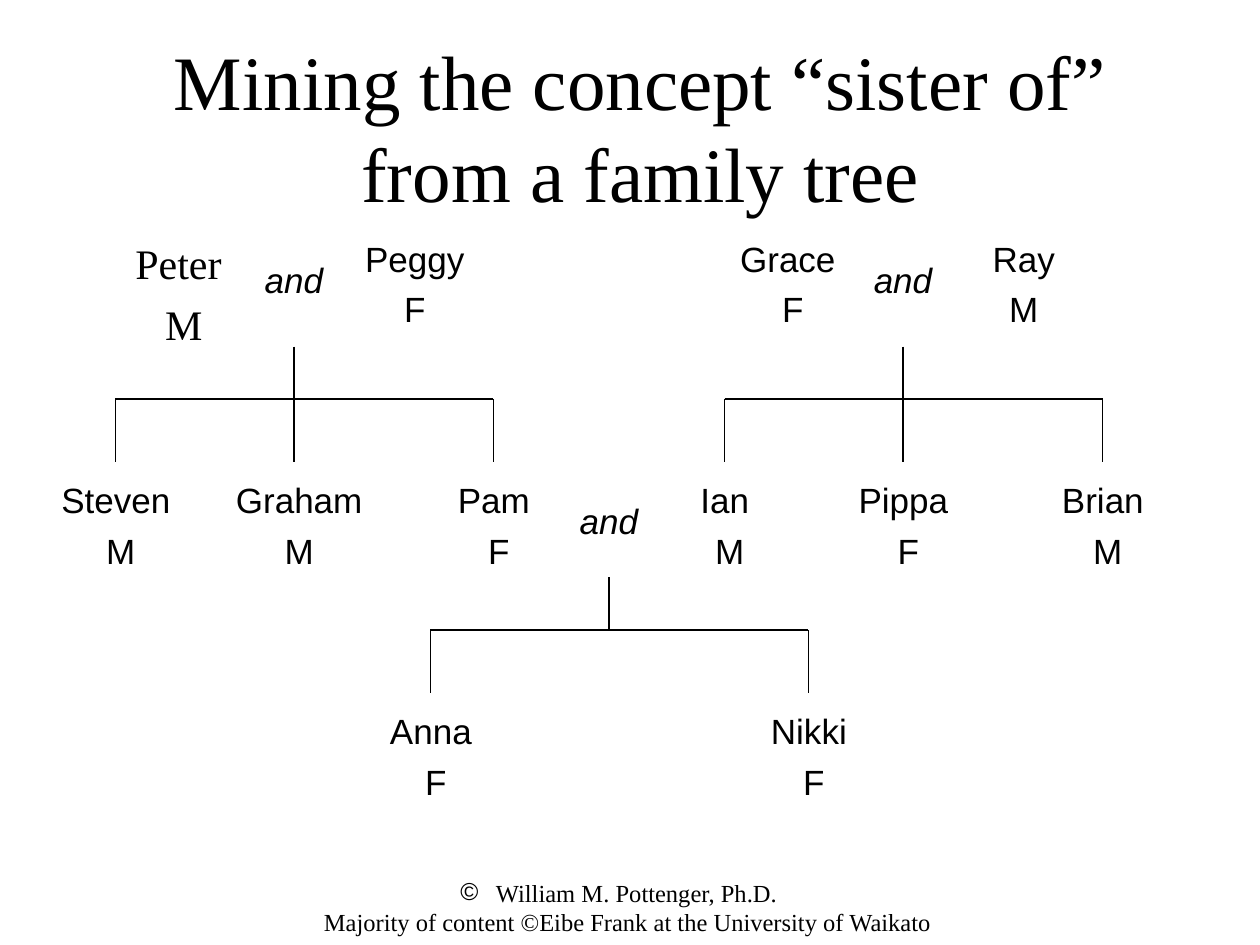
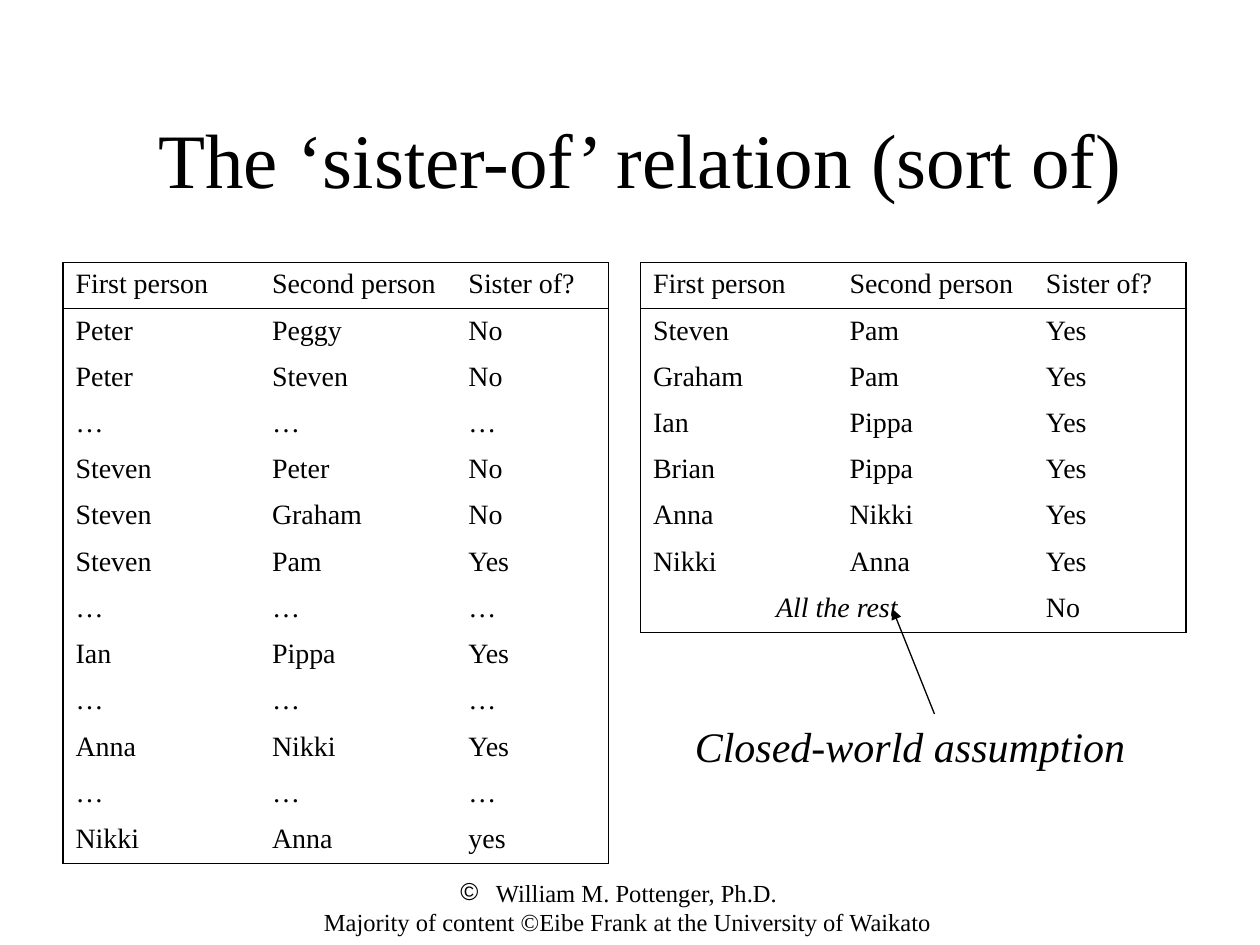
from lxml.etree import SubElement
from pptx import Presentation
from pptx.dml.color import RGBColor
from pptx.enum.shapes import MSO_CONNECTOR
from pptx.enum.text import MSO_ANCHOR, PP_ALIGN
from pptx.oxml.ns import qn
from pptx.util import Cm, Pt

BLACK = RGBColor(0x00, 0x00, 0x00)
WHITE = RGBColor(0xFF, 0xFF, 0xFF)
SERIF = "Times New Roman"
SANS = "Arial"
GRID = 2.54 / 12
COLUMNS = (3.96, 3.96, 3.08)
ROW = 0.93
HEADER = ("First person", "Second person", "Sister of?")
ETC = ("…", "…", "…")


def grid(n):
    return Cm(n * GRID)


class Deck:
    def __init__(self):
        self.prs = Presentation()
        self.prs.slide_width, self.prs.slide_height = grid(120), grid(90)
        self.s = None

    def slide(self, title, top):
        self.s = self.prs.slides.add_slide(self.prs.slide_layouts[6])
        self.s.background.fill.solid()
        self.s.background.fill.fore_color.rgb = WHITE
        self.footer()
        self.text(5, top, 112, 14, title, size=44, anchor=MSO_ANCHOR.MIDDLE)

    def run(self, p, text, size, font=SERIF, italic=False):
        r = p.add_run()
        r.text = text
        r.font.size = Pt(size)
        r.font.name = font
        r.font.italic = italic
        r.font.color.rgb = BLACK

    def text(self, x, y, w, h, lines, size, font=SERIF, italic=False,
             align=PP_ALIGN.CENTER, anchor=MSO_ANCHOR.TOP, before=0, wrap=True):
        tf = self.s.shapes.add_textbox(grid(x), grid(y), grid(w), grid(h)).text_frame
        tf.word_wrap = wrap
        tf.vertical_anchor = anchor
        for i, line in enumerate(lines):
            p = tf.add_paragraph() if i else tf.paragraphs[0]
            p.alignment = align
            p.space_before = Pt(before)
            self.run(p, line, size, font, italic)
        return tf

    def footer(self):
        tf = self.text(27, 83, 65, 4, (
            " William M. Pottenger, Ph.D.",
            " Majority of content ©Eibe Frank at the University of Waikato"), size=14)
        pPr = tf.paragraphs[0]._p.get_or_add_pPr()
        pPr.set("marL", str(Cm(0.34)))
        pPr.set("indent", str(-Cm(0.6)))
        SubElement(pPr, qn("a:buFont")).set("typeface", SANS)
        SubElement(pPr, qn("a:buChar")).set("char", "©")

    def line(self, x1, y1, x2, y2, arrow=False):
        c = self.s.shapes.add_connector(
            MSO_CONNECTOR.STRAIGHT, grid(x1), grid(y1), grid(x2), grid(y2))
        c.line.color.rgb = BLACK
        c.line.width = Pt(0.75)
        if arrow:
            SubElement(c.line._get_or_add_ln(), qn("a:tailEnd")).set("type", "triangle")
        SubElement(c._element.spPr, qn("a:effectLst"))

    def person(self, x, y, name, sex, size=20, font=SANS):
        self.text(x, y, 15, 10, (name, sex), size, font, before=size / 4)

    def conjunction(self, x, y):
        self.text(x - 4, y, 8, 5, ("and",), 20, SANS, italic=True, before=5, wrap=False)

    def branch(self, trunk, top, bar, children):
        drops = [x for x, _, _ in children]
        if trunk not in drops:
            self.line(trunk, top, trunk, bar)
        self.line(drops[0], bar, drops[-1], bar)
        for x, name, sex in children:
            self.line(x, top if x == trunk else bar, x, bar + 6)
            self.person(x - 7, bar + 7, name, sex)

    def borders(self, cell, edges):
        tcPr = cell._tc.get_or_add_tcPr()
        for side in "LRTB":
            ln = SubElement(tcPr, qn(f"a:ln{side}"))
            if side in edges:
                ln.set("w", str(Pt(1)))
                fill = SubElement(ln, qn("a:solidFill"))
                SubElement(fill, qn("a:srgbClr")).set("val", str(BLACK))
            else:
                SubElement(ln, qn("a:noFill"))
        cell.fill.background()

    def table(self, x, y, rows, rest=None):
        rows = [HEADER, *rows]
        if rest:
            rows.append((rest[0], "", rest[1]))
        last = len(rows) - 1
        t = self.s.shapes.add_table(len(rows), len(COLUMNS), grid(x), grid(y),
                                    Cm(sum(COLUMNS)), Cm(ROW * len(rows))).table
        t.first_row = t.horz_banding = False
        for col, width in zip(t.columns, COLUMNS):
            col.width = Cm(width)
        for i, values in enumerate(rows):
            t.rows[i].height = Cm(ROW)
            for j, value in enumerate(values):
                cell = t.cell(i, j)
                edges = ("L" if j == 0 else "") + ("R" if j == len(COLUMNS) - 1 else "")
                edges += ("T" if i < 2 else "") + ("B" if i in (0, last) else "")
                self.borders(cell, edges)
                if value:
                    p = cell.text_frame.paragraphs[0]
                    merged = bool(rest) and i == last and j == 0
                    p.alignment = PP_ALIGN.CENTER if merged else PP_ALIGN.LEFT
                    self.run(p, value, 16, italic=merged)
        if rest:
            t.cell(last, 0).merge(t.cell(last, 1))


def family_tree(deck):
    deck.slide(("Mining the concept “sister of”", "from a family tree"), 5)
    deck.person(10, 22, "Peter ", "M", 24, SERIF)
    deck.person(32, 22, "Peggy", "F")
    deck.person(68, 22, "Grace ", "F")
    deck.person(90, 22, "Ray", "M")
    for x, y in ((28, 24), (86, 24), (58, 47)):
        deck.conjunction(x, y)
    deck.branch(28, 33, 38, (
        (11, "Steven ", "M"), (28, "Graham ", "M"), (47, "Pam ", "F")))
    deck.branch(86, 33, 38, (
        (69, "Ian ", "M"), (86, "Pippa ", "F"), (105, "Brian ", "M")))
    deck.branch(58, 55, 60, ((41, "Anna ", "F"), (77, "Nikki ", "F")))


def sister_relation(deck):
    deck.slide(("The ‘sister-of’ relation (sort of)",), 8)
    deck.table(6, 25, (
        ("Peter", "Peggy", "No"),
        ("Peter", "Steven", "No"),
        ETC,
        ("Steven", "Peter", "No"),
        ("Steven", "Graham", "No"),
        ("Steven", "Pam", "Yes"),
        ETC,
        ("Ian", "Pippa", "Yes"),
        ETC,
        ("Anna", "Nikki", "Yes"),
        ETC,
        ("Nikki", "Anna", "yes")))
    sisters = (("Steven", "Pam"), ("Graham", "Pam"), ("Ian", "Pippa"),
               ("Brian", "Pippa"), ("Anna", "Nikki"), ("Nikki", "Anna"))
    deck.table(61, 25, [(*pair, "Yes") for pair in sisters], rest=("All the rest", "No"))
    deck.line(89, 68, 85, 58, arrow=True)
    deck.text(65, 68, 43.5, 6, ("Closed-world assumption",), 24, italic=True,
              align=PP_ALIGN.LEFT, wrap=False)


def main():
    deck = Deck()
    family_tree(deck)
    sister_relation(deck)
    deck.prs.save("out.pptx")


if __name__ == "__main__":
    main()
